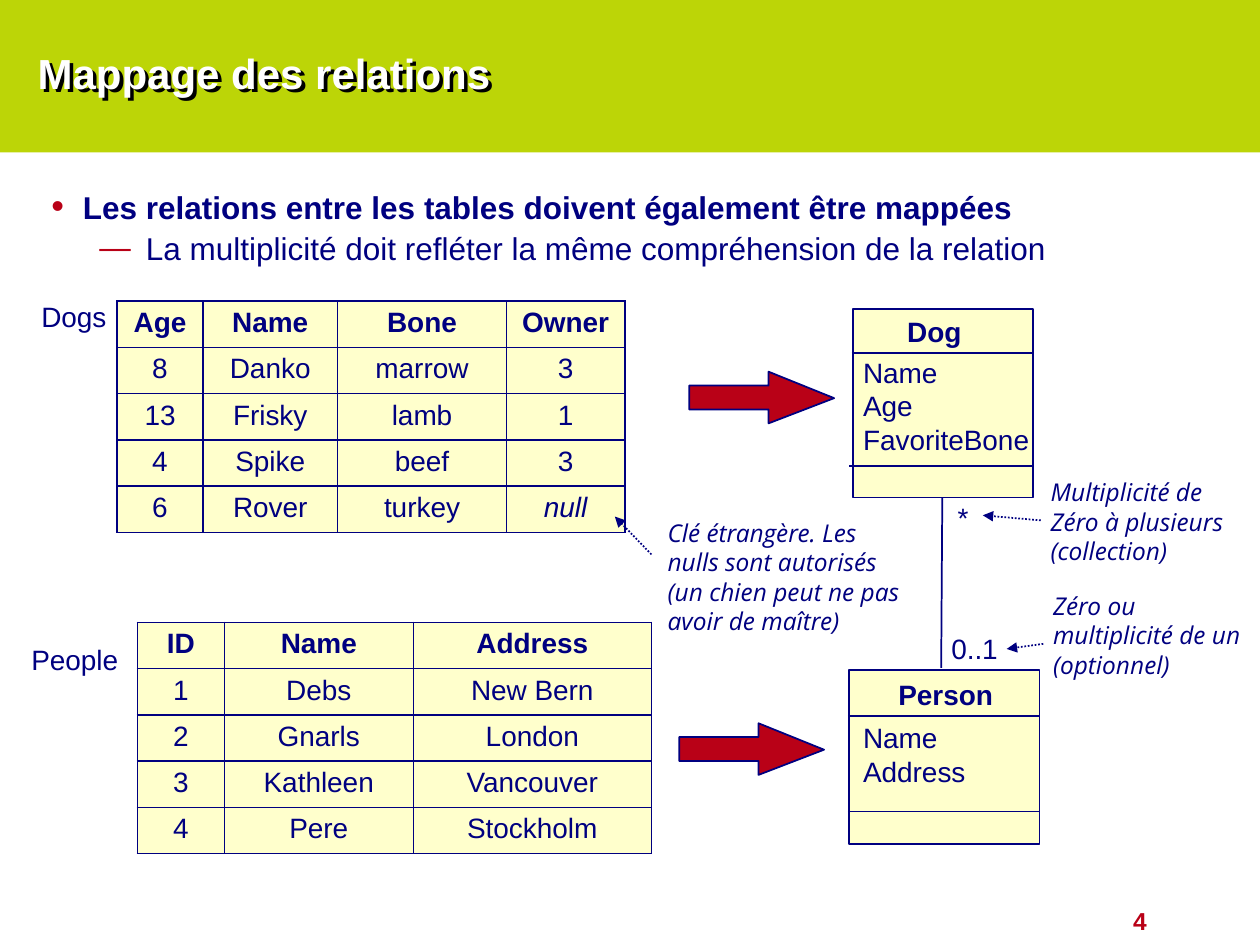
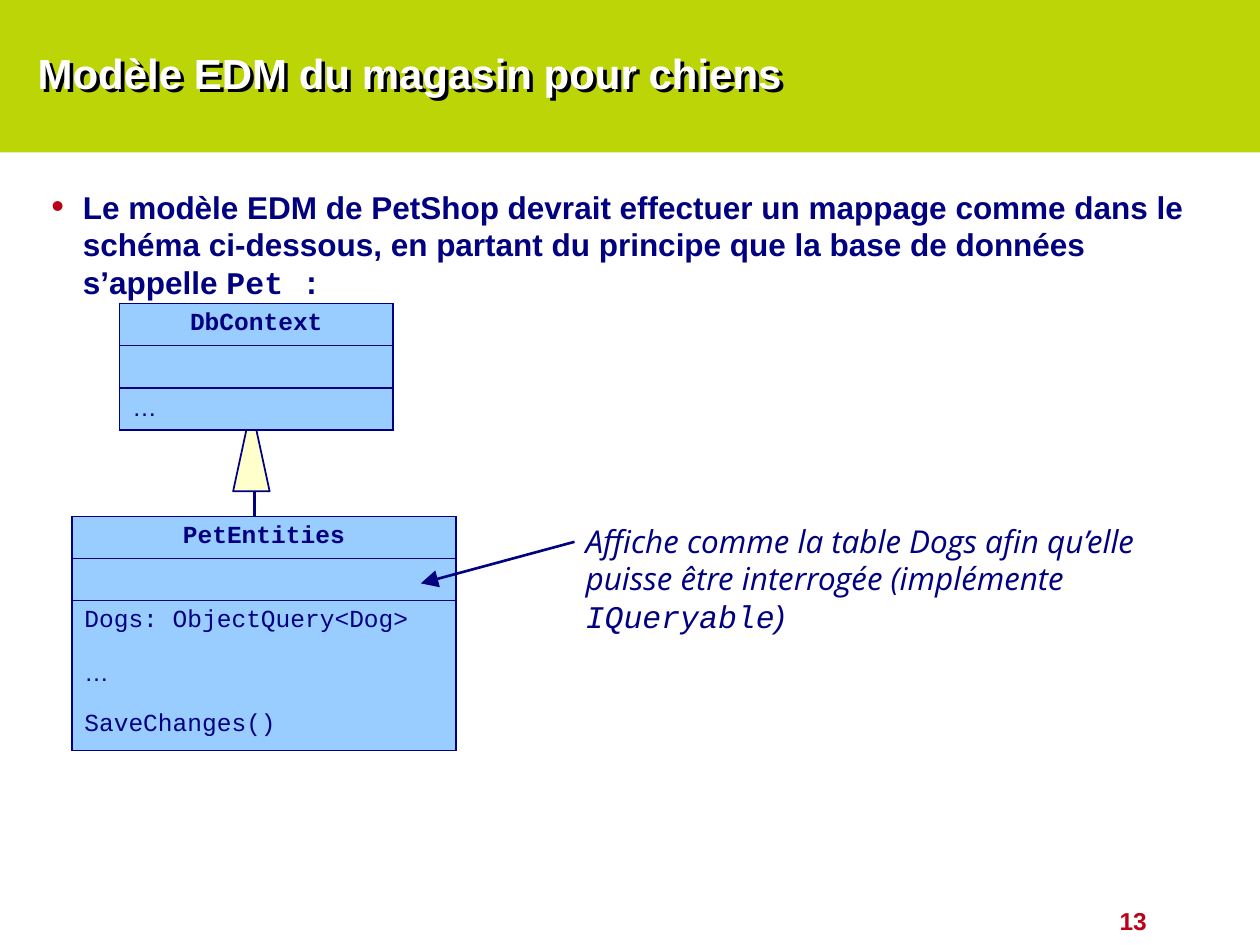
from lxml import etree
from pptx import Presentation
from pptx.dml.color import RGBColor
from pptx.enum.dml import MSO_LINE
from pptx.enum.shapes import MSO_CONNECTOR, MSO_SHAPE
from pptx.enum.text import MSO_ANCHOR, PP_ALIGN
from pptx.oxml.ns import qn
from pptx.util import Inches, Pt

STRAIGHT = MSO_CONNECTOR.STRAIGHT
RECT, TRIANGLE = MSO_SHAPE.RECTANGLE, MSO_SHAPE.ISOSCELES_TRIANGLE
TOP, MIDDLE = MSO_ANCHOR.TOP, MSO_ANCHOR.MIDDLE
LEFT, CENTER, RIGHT = PP_ALIGN.LEFT, PP_ALIGN.CENTER, PP_ALIGN.RIGHT
DOTTED = MSO_LINE.ROUND_DOT

COLORS = {"band": "BCD507", "white": "FFFFFF", "navy": "000080", "red": "B90117",
          "cream": "FFFFCC", "sky": "99CCFF", "black": "000000"}
SANS, MONO, NOTE = "Arial", "Courier New", "Open Sans"
SLIDE_W, SLIDE_H, BAND_H = 10, 7.5, 1.21
LEADING = 1.2

# ---- Content: relations slide
BULLETS_RELATIONS = [
    (0, ["Les relations entre les tables doivent également être mappées"]),
    (1, ["La multiplicité doit refléter la même compréhension de la relation"])]
DATA_TABLES = [
    {"label": "Dogs", "label_at": (0.23, 2.33, 0.8, 0.37), "at": (0.93, 2.39),
     "cols": [0.68, 1.07, 1.34, 0.94],
     "rows": [["Age", "Name", "Bone", "Owner"], ["8", "Danko", "marrow", "3"],
              ["13", "Frisky", "lamb", "1"], ["4", "Spike", "beef", "3"],
              ["6", "Rover", "turkey", "null"]]},
    {"label": "People", "label_at": (0.15, 5.05, 1, 0.37), "at": (1.09, 4.94),
     "cols": [0.69, 1.5, 1.89],
     "rows": [["ID", "Name", "Address"], ["1", "Debs", "New Bern"],
              ["2", "Gnarls", "London"], ["3", "Kathleen", "Vancouver"],
              ["4", "Pere", "Stockholm"]]}]
DATA_ROW_H = 1.83 / 5
CLASSES = [
    {"name": "Dog", "name_at": (7.2, 2.5, 0.9, 0.27), "box": (6.77, 2.45, 1.43, 1.5),
     "fields": ["Name", "Age", "FavoriteBone"], "fields_at": (6.85, 2.82, 1.5, 0.8),
     "dividers": [(6.76, 8.2, 2.8), (6.74, 8.19, 3.7)]},
    {"name": "Person", "name_at": (7.13, 5.38, 1, 0.27), "box": (6.74, 5.32, 1.51, 1.38),
     "fields": ["Name", "Address"], "fields_at": (6.85, 5.72, 1.3, 0.54),
     "dividers": [(6.73, 8.25, 5.68), (6.73, 8.25, 6.44)]}]
BLOCK_ARROWS = [(5.47, 2.95), (5.39, 5.74)]
ARROW_OUTLINE = [(0.63, 0), (0.63, 0.11), (0, 0.11), (0, 0.3), (0.63, 0.3),
                 (0.63, 0.41), (1.15, 0.21)]
ROLES = [("*", (7.6, 3.97, 0.2, 0.27)), ("0..1", (7.55, 5.01, 0.5, 0.27))]
NOTES = [  # text, place, pointer start and end
    ("Clé étrangère. Les nulls sont autorisés (un chien peut ne pas avoir de maître)",
     (5.2, 4.06, 2.15, 1.04), (5.17, 4.4), (4.88, 4.1)),
    ("Multiplicité de Zéro à plusieurs (collection)",
     (8.24, 3.74, 1.73, 0.81), (8.26, 4.13), (7.8, 4.09)),
    ("Zéro ou multiplicité de un (optionnel)",
     (8.26, 4.64, 1.74, 0.81), (8.28, 5.11), (7.99, 5.15))]

# ---- Content: EDM slide
BULLETS_EDM = [
    (0, ["Le modèle EDM de PetShop devrait effectuer un mappage comme dans le schéma "
         "ci-dessous, en partant du principe que la base de données s’appelle ",
         ("Pet :", MONO)])]
ENTITIES = [
    {"at": (0.95, 2.41), "width": 2.17, "heights": [0.33, 0.33, 0.33],
     "name": "DbContext", "members": [("…", SANS)]},
    {"at": (0.57, 4.1), "width": 3.05, "heights": [0.33, 0.33, 1.19],
     "name": "PetEntities",
     "members": [("Dogs: ObjectQuery<Dog>", MONO), ("…", SANS), ("SaveChanges()", MONO)]}]
QUERY_NOTE = ["Affiche comme la table Dogs afin qu’elle puisse être interrogée (implémente ",
              ("IQueryable", MONO), (")", SANS)]

LEVELS = [  # margin, hanging indent, space before, bullet, bullet size, bold
    (0.25, 0.25, 14, "•", 115, True),
    (0.75, 0.37, 2, "—", 100, False)]


# ---- Helpers
def rgb(name):
    return RGBColor.from_string(COLORS[name])


def inches(values):
    return [Inches(v) for v in values]


def sub(parent, tag, **attrs):
    return etree.SubElement(parent, qn(tag), attrs)


def write(p, runs, size=16, font=SANS, color="navy", bold=False, italic=False,
          align=LEFT, before=0, leading=None):
    p.alignment, p.space_before = align, Pt(before)
    if leading:
        p.line_spacing = Pt(size * leading)
    f = p.font
    f.size, f.name, f.bold, f.italic = Pt(size), font, bold, italic
    f.color.rgb = rgb(color)
    for run in runs:
        text, face = (run, None) if isinstance(run, str) else run
        r = p.add_run()
        r.text = text
        if face:
            r.font.name = face
    if not runs:
        p._p.get_or_add_endParaRPr().set("sz", str(size * 100))


def text_box(s, at, paragraphs, inset=True, anchor=TOP, **style):
    sp = s.shapes.add_textbox(*inches(at))
    tf = sp.text_frame
    tf.word_wrap, tf.vertical_anchor = True, anchor
    if not inset:
        tf.margin_left = tf.margin_right = tf.margin_top = tf.margin_bottom = 0
    for i, runs in enumerate(paragraphs):
        p = tf.add_paragraph() if i else tf.paragraphs[0]
        write(p, runs, leading=LEADING, **style)
    return sp


def paint(sp, fill, line="navy"):
    sp.shadow.inherit = False
    sp.fill.solid()
    sp.fill.fore_color.rgb = rgb(fill)
    if line:
        sp.line.color.rgb, sp.line.width = rgb(line), Pt(1)
    else:
        sp.line.fill.background()


def shape(s, kind, at, fill, line="navy"):
    paint(s.shapes.add_shape(kind, *inches(at)), fill, line)


def connect(s, start, end, width=1, dash=None, head=None):
    c = s.shapes.add_connector(STRAIGHT, *inches(start + end))
    c.line.color.rgb, c.line.width = rgb("navy"), Pt(width)
    if dash:
        c.line.dash_style = dash
    if head:
        sub(c.line._get_or_add_ln(), "a:tailEnd", type="triangle", w=head, len=head)
    sub(c._element.spPr, "a:effectLst")


def style_cell(cell, fill):
    tc_pr = cell._tc.get_or_add_tcPr()
    for side in ("a:lnL", "a:lnR", "a:lnT", "a:lnB"):
        ln = sub(tc_pr, side, w=str(Pt(1)))
        sub(sub(ln, "a:solidFill"), "a:srgbClr", val=COLORS["navy"])
    cell.fill.solid()
    cell.fill.fore_color.rgb = rgb(fill)


def table(s, at, cols, heights, fill):
    size = (sum(cols), sum(heights))
    t = s.shapes.add_table(len(heights), len(cols), *inches(at + size)).table
    t.first_row = t.horz_banding = False
    for col, w in zip(t.columns, cols):
        col.width = Inches(w)
    for row, h in zip(t.rows, heights):
        row.height = Inches(h)
    for cell in t.iter_cells():
        style_cell(cell, fill)
    return t


def bullets(s, items):
    tf = text_box(s, (0.31, 1.44, 9.4, 0.73), []).text_frame
    for i, (level, runs) in enumerate(items):
        margin, hang, before, mark, size, bold = LEVELS[level]
        p = tf.add_paragraph() if i else tf.paragraphs[0]
        p_pr = p._p.get_or_add_pPr()
        p_pr.set("marL", str(Inches(margin)))
        p_pr.set("indent", str(-Inches(hang)))
        sub(sub(p_pr, "a:buClr"), "a:srgbClr", val=COLORS["red"])
        sub(p_pr, "a:buSzPct", val=str(size * 1000))
        sub(p_pr, "a:buFont", typeface=SANS)
        sub(p_pr, "a:buChar", char=mark)
        write(p, runs, size=18, bold=bold, before=before if i else 0, leading=LEADING)


def new_slide(prs, title, number, items):
    s = prs.slides.add_slide(prs.slide_layouts[6])
    s.background.fill.solid()
    s.background.fill.fore_color.rgb = rgb("band")
    shape(s, RECT, (0, BAND_H, SLIDE_W, SLIDE_H - BAND_H), "white", None)
    text_box(s, (7.62, 7.14, 1.58, 0.33), [[number]], size=14, color="red",
             bold=True, align=RIGHT)
    sp = text_box(s, (0.2, 0.18, 8.52, 0.79), [[title]], anchor=MIDDLE,
                  size=24, color="white", bold=True)
    shadow = sub(sub(sp._element.spPr, "a:effectLst"), "a:outerShdw",
                 dist=str(Inches(0.04)), dir="2700000", algn="ctr", rotWithShape="0")
    sub(shadow, "a:srgbClr", val=COLORS["black"])
    bullets(s, items)
    return s


prs = Presentation()
prs.slide_width, prs.slide_height = Inches(SLIDE_W), Inches(SLIDE_H)

# ---- Relations slide
s = new_slide(prs, "Mappage des relations", "4", BULLETS_RELATIONS)
connect(s, (7.48, 3.74), (7.47, 5.3))
for c in CLASSES:
    shape(s, RECT, c["box"], "cream")
    text_box(s, c["name_at"], [[c["name"]]], inset=False, bold=True)
    for x1, x2, y in c["dividers"]:
        connect(s, (x1, y), (x2, y))
    text_box(s, c["fields_at"], [[f] for f in c["fields"]], inset=False)
for role, at in ROLES:
    text_box(s, at, [[role]], inset=False)
for x, y in BLOCK_ARROWS:
    points = [inches((x + dx, y + dy)) for dx, dy in ARROW_OUTLINE]
    outline = s.shapes.build_freeform(*points[0])
    outline.add_line_segments(points[1:], close=True)
    paint(outline.convert_to_shape(), "red")
for d in DATA_TABLES:
    t = table(s, d["at"], d["cols"], [DATA_ROW_H] * len(d["rows"]), "cream")
    for i, row in enumerate(d["rows"]):
        for j, value in enumerate(row):
            write(t.cell(i, j).text_frame.paragraphs[0], [value], bold=i == 0,
                  italic=value == "null", align=CENTER)
    text_box(s, d["label_at"], [[d["label"]]])
for text, at, start, end in NOTES:
    text_box(s, at, [[text]], size=14, font=NOTE, italic=True)
    connect(s, start, end, dash=DOTTED, head="med")

# ---- EDM slide
s = new_slide(prs, "Modèle EDM du magasin pour chiens", "13", BULLETS_EDM)
connect(s, (2.02, 3.53), (2.02, 4.52), width=2.25)
shape(s, TRIANGLE, (1.85, 3.23, 0.29, 0.67), "cream")
text_box(s, (4.55, 4.09, 4.75, 1.01), [QUERY_NOTE], size=18, font=NOTE, italic=True)
for e in ENTITIES:
    t = table(s, e["at"], [e["width"]], e["heights"], "sky")
    write(t.cell(0, 0).text_frame.paragraphs[0], [e["name"]], size=14, font=MONO,
          bold=True, align=CENTER)
    write(t.cell(1, 0).text_frame.paragraphs[0], [], size=14)
    tf = t.cell(2, 0).text_frame
    for i, (text, face) in enumerate(e["members"]):
        write(tf.add_paragraph() if i else tf.paragraphs[0], [text], size=14,
              font=face, before=14 if i else 0)
connect(s, (4.56, 4.3), (3.34, 4.63), width=1.5, head="lg")

prs.save("out.pptx")
